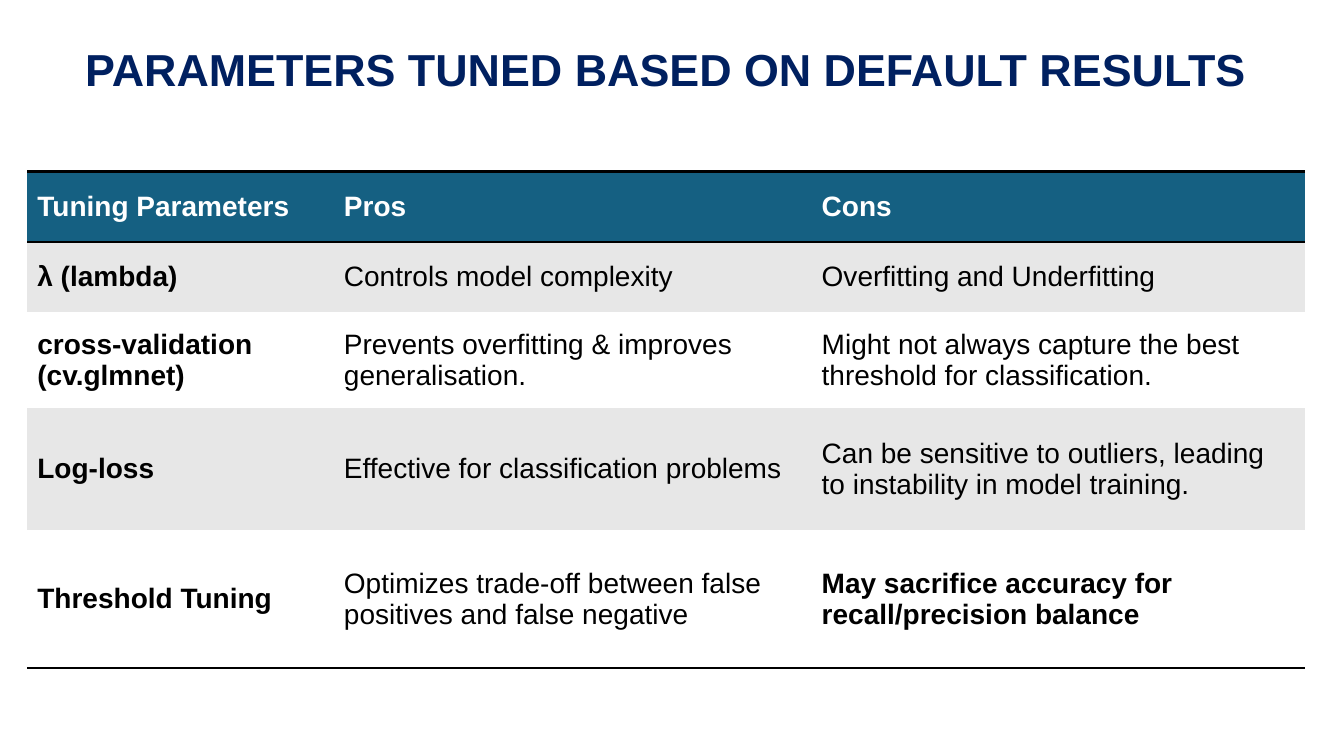
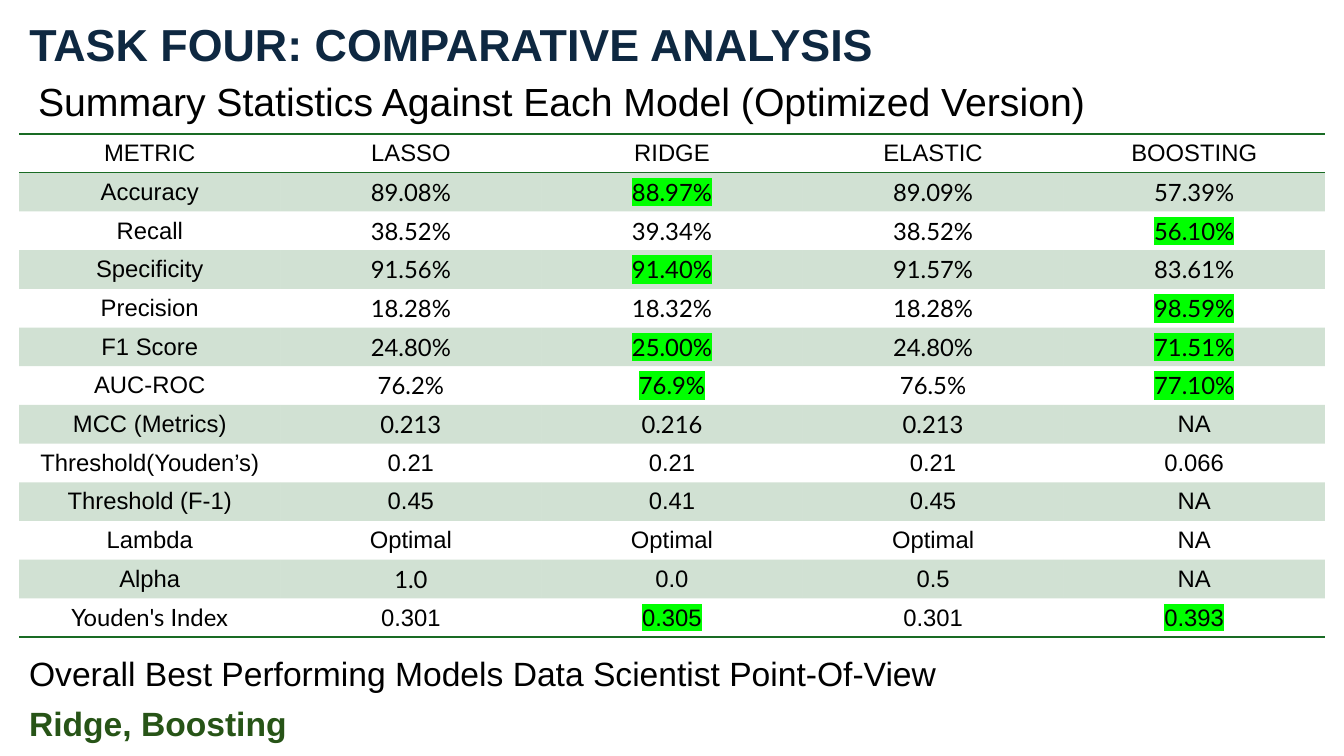
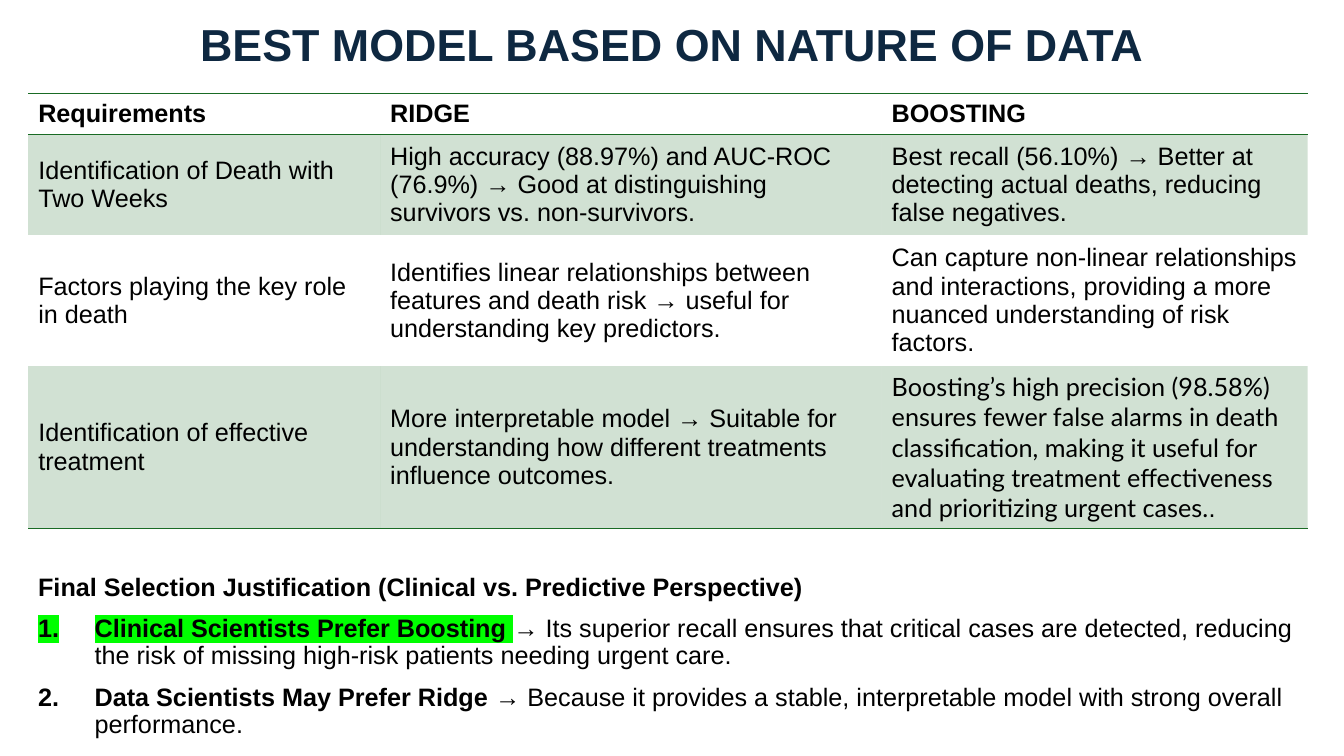
from dataclasses import dataclass
from typing import Any, NamedTuple

from lxml.etree import SubElement
from pptx import Presentation
from pptx.dml.color import RGBColor
from pptx.enum.text import MSO_ANCHOR, MSO_AUTO_SIZE, PP_ALIGN
from pptx.oxml.ns import qn
from pptx.util import Inches, Pt


@dataclass(frozen=True)
class Theme:
    """Colours, fonts and type sizes shared by the slides."""
    royal: str = "002060"
    navy: str = "0E2841"
    black: str = "000000"
    white: str = "FFFFFF"
    teal: str = "156082"
    grey: str = "E7E7E7"
    green: str = "196B24"
    forest: str = "275417"
    marker: str = "00FF00"
    font: str = "Arial"
    figures: str = "Lato"
    title: int = 32
    subtitle: int = 28
    verdict: int = 24
    tuning: int = 20
    body: int = 18
    metrics: int = 17
    leading: float = 0.9
    no_style: str = "{2D5ABB26-0587-4C30-8999-92F81FD0307C}"


T = Theme()
WIDTH, HEIGHT = Inches(13.33), Inches(7.5)


class Box(NamedTuple):
    """A frame in percent of the slide's width and height."""
    left: float
    top: float
    width: float
    height: float

    def emu(self) -> tuple[int, ...]:
        """Return left, top, width and height as lengths."""
        return tuple(int(v * side / 100) for v, side in zip(self, (WIDTH, HEIGHT) * 2))


@dataclass(frozen=True)
class Run:
    """A stretch of text with one format."""
    text: str
    bold: bool = False
    font: str = T.font
    color: str = T.black
    marked: bool = False


@dataclass(frozen=True)
class Para:
    """A paragraph of runs, numbered or plain."""
    runs: tuple[Run, ...]
    numbered: bool = False


@dataclass(frozen=True)
class TableStyle:
    """The look of a ruled and banded table."""
    size: int
    line: str
    line_pt: float
    band: str
    opacity: int = 100
    head: str | None = None
    align: PP_ALIGN = PP_ALIGN.LEFT


@dataclass(frozen=True)
class Grid:
    """A table with column shares and row heights in percent of the slide."""
    left: float
    top: float
    width: float
    cols: tuple[float, ...]
    rows: tuple[float, ...]
    cells: list[list[tuple[Run, ...]]]
    style: TableStyle


def apply(target: Any, values: dict[str, Any]) -> None:
    """Set each named attribute on the target."""
    for name, value in values.items():
        setattr(target, name, value)


def write_runs(p: Any, runs: tuple[Run, ...], size: int) -> None:
    """Add formatted runs to a paragraph."""
    for run in runs:
        r = p.add_run()
        r.text = run.text
        apply(r.font, {"size": Pt(size), "bold": run.bold, "name": run.font})
        r.font.color.rgb = RGBColor.from_string(run.color)
        if run.marked:
            rpr = r.font._element
            mark = SubElement(rpr, qn("a:highlight"))
            SubElement(mark, qn("a:srgbClr"), val=T.marker)
            rpr.find(qn("a:solidFill")).addnext(mark)


def add_slide(prs: Any, box: Box, text: str, color: str, align: PP_ALIGN) -> Any:
    """Add a title-only slide with its title set."""
    s = prs.slides.add_slide(prs.slide_layouts[5])
    sp = s.shapes.title
    apply(sp, dict(zip(("left", "top", "width", "height"), box.emu())))
    tf = sp.text_frame
    apply(tf, {"word_wrap": True, "auto_size": MSO_AUTO_SIZE.NONE,
               "vertical_anchor": MSO_ANCHOR.MIDDLE})
    p = tf.paragraphs[0]
    apply(p, {"alignment": align, "line_spacing": T.leading})
    write_runs(p, (Run(text, True, color=color),), T.title)
    return s


def add_text(s: Any, box: Box, paras: list[Para], size: int,
             anchor: MSO_ANCHOR = MSO_ANCHOR.TOP) -> None:
    """Add a text box of spaced paragraphs."""
    tf = s.shapes.add_textbox(*box.emu()).text_frame
    apply(tf, {"word_wrap": True, "vertical_anchor": anchor})
    for i, para in enumerate(paras):
        p = tf.add_paragraph() if i else tf.paragraphs[0]
        apply(p, {"line_spacing": T.leading, "space_before": Pt(10)})
        write_runs(p, para.runs, size)
        if para.numbered:
            ppr = p._p.get_or_add_pPr()
            indent = Inches(0.56)
            ppr.set("marL", str(indent))
            ppr.set("indent", str(-indent))
            SubElement(ppr, qn("a:buFont"), typeface="+mj-lt")
            SubElement(ppr, qn("a:buAutoNum"), type="arabicPeriod")


def rule_cell(cell: Any, side: str, style: TableStyle) -> None:
    """Draw one border of a cell."""
    tcpr = cell._tc.get_or_add_tcPr()
    ln = SubElement(tcpr, qn(f"a:{side}"), w=str(Pt(style.line_pt)))
    fill = SubElement(ln, qn("a:solidFill"))
    SubElement(fill, qn("a:srgbClr"), val=style.line)
    tcpr.insert(0, ln)


def fill_cell(cell: Any, color: str | None, opacity: int) -> None:
    """Fill a cell, or leave it clear."""
    if color is None:
        cell.fill.background()
        return
    cell.fill.solid()
    cell.fill.fore_color.rgb = RGBColor.from_string(color)
    if opacity < 100:
        clr = cell._tc.tcPr.find(f"{qn('a:solidFill')}/{qn('a:srgbClr')}")
        SubElement(clr, qn("a:alpha"), val=str(opacity * 1000))


def add_grid(s: Any, grid: Grid) -> None:
    """Add a table with rules above and below its header and at its foot."""
    style, last = grid.style, len(grid.rows) - 1
    box = Box(grid.left, grid.top, grid.width, sum(grid.rows))
    table = s.shapes.add_table(len(grid.rows), len(grid.cols), *box.emu()).table
    apply(table, {"first_row": False, "horz_banding": False})
    table._tbl.tblPr.find(qn("a:tableStyleId")).text = T.no_style
    for col, share in zip(table.columns, grid.cols):
        col.width = int(box.emu()[2] * share / sum(grid.cols))
    for row, height in zip(table.rows, grid.rows):
        row.height = int(HEIGHT * height / 100)
    for i, line in enumerate(grid.cells):
        for j, runs in enumerate(line):
            cell = table.cell(i, j)
            cell.vertical_anchor = MSO_ANCHOR.MIDDLE
            p = cell.text_frame.paragraphs[0]
            p.alignment = style.align
            write_runs(p, runs, style.size)
            color = style.head if i == 0 else style.band if i % 2 else None
            fill_cell(cell, color, style.opacity)
            if i in (0, last):
                rule_cell(cell, "lnB", style)
            if i == 0:
                rule_cell(cell, "lnT", style)


TUNING = [
    ("Tuning Parameters", "Pros", "Cons"),
    ("λ (lambda)", "Controls model complexity", "Overfitting and Underfitting"),
    ("cross-validation (cv.glmnet)", "Prevents overfitting & improves generalisation.",
     "Might not always capture the best threshold for classification."),
    ("Log-loss", "Effective for classification problems",
     "Can be sensitive to outliers, leading to instability in model training."),
    ("Threshold Tuning", "Optimizes trade-off between false positives and false negative",
     "May sacrifice accuracy for recall/precision balance"),
]

METRICS = [
    ("METRIC", "LASSO", "RIDGE", "ELASTIC", "BOOSTING"),
    ("Accuracy", "89.08%", "88.97%", "89.09%", "57.39%"),
    ("Recall", "38.52%", "39.34%", "38.52%", "56.10%"),
    ("Specificity", "91.56%", "91.40%", "91.57%", "83.61%"),
    ("Precision", "18.28%", "18.32%", "18.28%", "98.59%"),
    ("F1 Score", "24.80%", "25.00%", "24.80%", "71.51%"),
    ("AUC-ROC", "76.2%", "76.9%", "76.5%", "77.10%"),
    ("MCC (Metrics)", "0.213", "0.216", "0.213", "NA"),
    ("Threshold(Youden’s)", "0.21", "0.21", "0.21", "0.066"),
    ("Threshold (F-1)", "0.45", "0.41", "0.45", "NA"),
    ("Lambda", "Optimal", "Optimal", "Optimal", "NA"),
    ("Alpha", "1.0", "0.0", "0.5", "NA"),
    ("Youden's Index", "0.301", "0.305", "0.301", "0.393"),
]
BEST = {"88.97%", "91.40%", "25.00%", "76.9%", "0.305",
        "56.10%", "98.59%", "71.51%", "77.10%", "0.393"}
IN_LATO = {"0.213", "0.216", "1.0", "Youden's Index"}

NEEDS = [
    ("Requirements", "RIDGE", "BOOSTING"),
    ("Identification of Death with Two Weeks",
     "High accuracy (88.97%) and AUC-ROC (76.9%) → Good at distinguishing "
     "survivors vs. non-survivors.",
     "Best recall (56.10%) → Better at detecting actual deaths, reducing false negatives."),
    ("Factors playing the key role in death",
     "Identifies linear relationships between features and death risk → useful for "
     "understanding key predictors.",
     "Can capture non-linear relationships and interactions, providing a more nuanced "
     "understanding of risk factors."),
    ("Identification of effective treatment",
     "More interpretable model → Suitable for understanding how different treatments "
     "influence outcomes."),
]
PRECISION = (
    Run("Boosting’s high precision (98.58%) ensures fewer false alarms in death "
        "classification, making it useful for evaluating treatment effectiveness and "
        "prioritizing urgent cases.", font=T.figures),
    Run("."),
)


def metric_run(text: str) -> Run:
    """Format one entry of the metrics table."""
    lato = text.endswith("%") or text in IN_LATO
    return Run(text, font=T.figures if lato else T.font, marked=text in BEST)


def tuning_slide(prs: Any) -> None:
    """Build the tuning parameters slide."""
    s = add_slide(prs, Box(2.03, 2.4, 95.05, 14.13),
                  "PARAMETERS TUNED BASED ON DEFAULT RESULTS", T.royal, PP_ALIGN.CENTER)
    last = len(TUNING) - 1
    cells = [[(Run(text, i == 0 or j == 0 or (i, j) == (last, 2),
                   color=T.black if i else T.white),)
              for j, text in enumerate(line)] for i, line in enumerate(TUNING)]
    style = TableStyle(T.tuning, T.black, 2, T.grey, head=T.teal)
    add_grid(s, Grid(2.03, 22.67, 95.05, (24, 37.4, 38.6),
                     (9.33, 9.33, 12.67, 16.13, 18.27), cells, style))


def comparison_slide(prs: Any, title: Box) -> None:
    """Build the model comparison slide."""
    s = add_slide(prs, title, "TASK FOUR: COMPARATIVE ANALYSIS", T.navy, PP_ALIGN.LEFT)
    summary = Run("Summary Statistics Against Each Model (Optimized Version)")
    add_text(s, Box(2.1, 10.27, 95.87, 7.07), [Para((summary,))], T.subtitle)
    cells = [[(metric_run(text),) for text in line] for line in METRICS]
    style = TableStyle(T.metrics, T.green, 1, T.green, 20, align=PP_ALIGN.CENTER)
    add_grid(s, Grid(title.left, 17.73, title.width, (1,) * len(METRICS[0]),
                     (4.8,) * len(METRICS), cells, style))
    add_text(s, Box(title.left, 86.27, 95.87, 12.8), [
        Para((Run("Overall Best Performing Models Data Scientist Point-Of-View"),)),
        Para((Run("Ridge, Boosting", True, color=T.forest),)),
    ], T.verdict)


def selection_slide(prs: Any, title: Box) -> None:
    """Build the final selection slide."""
    s = add_slide(prs, title, "BEST MODEL BASED ON NATURE OF DATA", T.navy, PP_ALIGN.CENTER)
    add_text(s, Box(2.1, 74.93, 95.2, 23.87), [
        Para((Run("Final Selection Justification (Clinical vs. Predictive Perspective)", True),)),
        Para((Run("Clinical Scientists Prefer Boosting ", True, marked=True),
              Run("→ Its superior recall ensures that critical cases are detected, reducing "
                  "the risk of missing high-risk patients needing urgent care.")), True),
        Para((Run("Data Scientists May Prefer Ridge", True),
              Run(" → Because it provides a stable, interpretable model with strong overall "
                  "performance.")), True),
    ], T.body, MSO_ANCHOR.MIDDLE)
    cells = [[(Run(text, i == 0),) for text in line] for i, line in enumerate(NEEDS)]
    cells[-1].append(PRECISION)
    style = TableStyle(T.body, T.green, 1, T.green, 20)
    add_grid(s, Grid(2.1, 12.4, 95.2, (27.5, 39.2, 33.3),
                     (5.07, 12.53, 16.27, 21.5), cells, style))


def main() -> None:
    """Build and save the presentation."""
    prs = Presentation()
    apply(prs, {"slide_width": WIDTH, "slide_height": HEIGHT})
    top_title = Box(1.43, 0.93, 97.15, 10.67)
    tuning_slide(prs)
    comparison_slide(prs, top_title)
    selection_slide(prs, top_title)
    prs.save("out.pptx")


if __name__ == "__main__":
    main()
